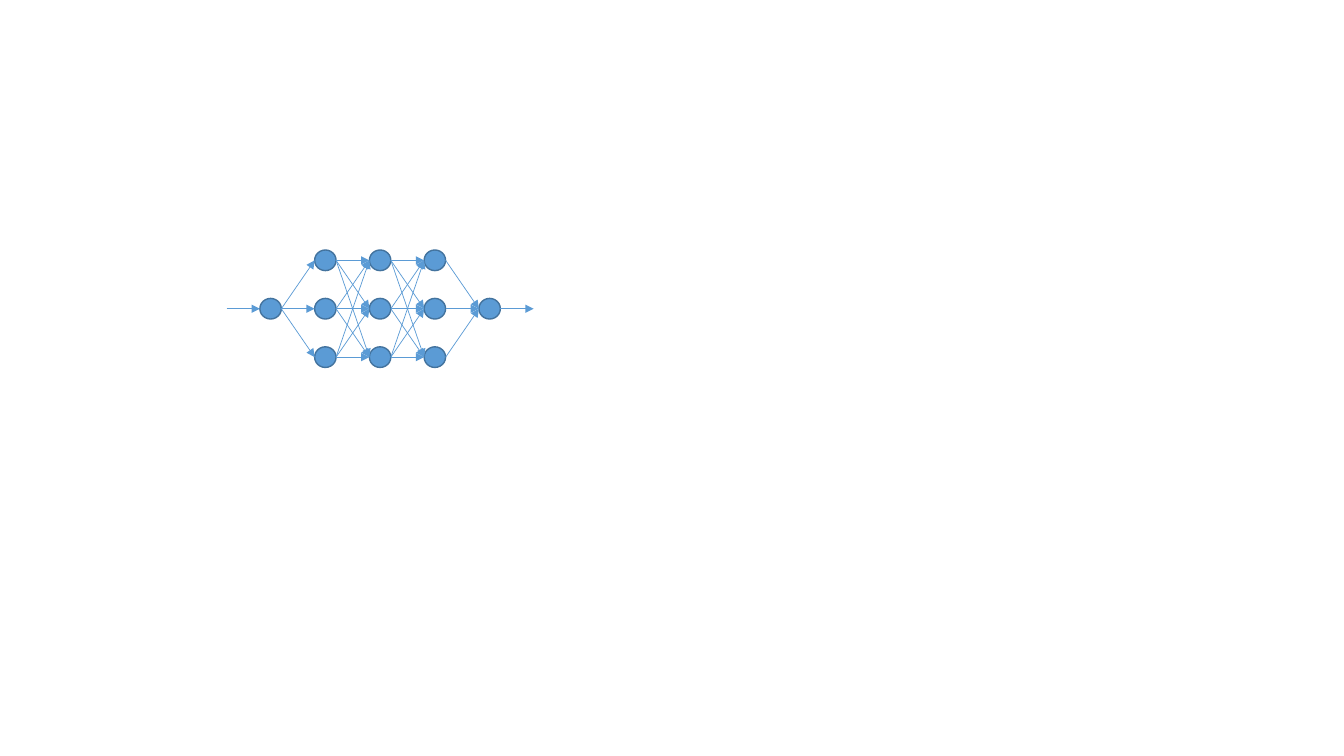
from itertools import product

from lxml import etree
from pptx import Presentation
from pptx.dml.color import RGBColor
from pptx.enum.shapes import MSO_CONNECTOR, MSO_SHAPE
from pptx.oxml.ns import qn
from pptx.util import Cm, Pt

STRAIGHT = MSO_CONNECTOR.STRAIGHT
OVAL = MSO_SHAPE.OVAL
BLUE = RGBColor(0x5B, 0x9B, 0xD5)
DARK_BLUE = RGBColor(0x43, 0x73, 0x9E)

NEURON_WIDTH = 0.54
NEURON_HEIGHT = 0.52
LAYER_LEFT = 6.55
LAYER_PITCH = 1.38
MIDDLE_Y = 7.78
ROW_PITCH = 1.22
ARROW_LENGTH = LAYER_PITCH - NEURON_WIDTH
LAYER_ROWS = [[0], [-1, 0, 1], [-1, 0, 1], [-1, 0, 1], [0]]

prs = Presentation()
prs.slide_width = Cm(33.87)
prs.slide_height = Cm(19.05)
slide = prs.slides.add_slide(prs.slide_layouts[6])


def add_arrow(start_x, start_row, end_row):
    arrow = slide.shapes.add_connector(
        STRAIGHT,
        Cm(start_x), Cm(MIDDLE_Y + start_row * ROW_PITCH),
        Cm(start_x + ARROW_LENGTH), Cm(MIDDLE_Y + end_row * ROW_PITCH),
    )
    arrow.line.color.rgb = BLUE
    arrow.line.width = Pt(0.5)
    etree.SubElement(arrow.line._get_or_add_ln(), qn("a:tailEnd"), type="triangle")
    etree.SubElement(arrow._element.spPr, qn("a:effectLst"))


for layer, rows in enumerate(LAYER_ROWS):
    for row in rows:
        neuron = slide.shapes.add_shape(
            OVAL,
            Cm(LAYER_LEFT + layer * LAYER_PITCH),
            Cm(MIDDLE_Y + row * ROW_PITCH - NEURON_HEIGHT / 2),
            Cm(NEURON_WIDTH), Cm(NEURON_HEIGHT),
        )
        neuron.shadow.inherit = False
        neuron.fill.solid()
        neuron.fill.fore_color.rgb = BLUE
        neuron.line.color.rgb = DARK_BLUE
        neuron.line.width = Pt(1)

for layer, (rows, next_rows) in enumerate(zip(LAYER_ROWS, LAYER_ROWS[1:])):
    layer_right = LAYER_LEFT + layer * LAYER_PITCH + NEURON_WIDTH
    for start_row, end_row in product(rows, next_rows):
        add_arrow(layer_right, start_row, end_row)

input_x = LAYER_LEFT - ARROW_LENGTH
output_x = LAYER_LEFT + (len(LAYER_ROWS) - 1) * LAYER_PITCH + NEURON_WIDTH
for outer_x in (input_x, output_x):
    add_arrow(outer_x, 0, 0)

prs.save("out.pptx")
